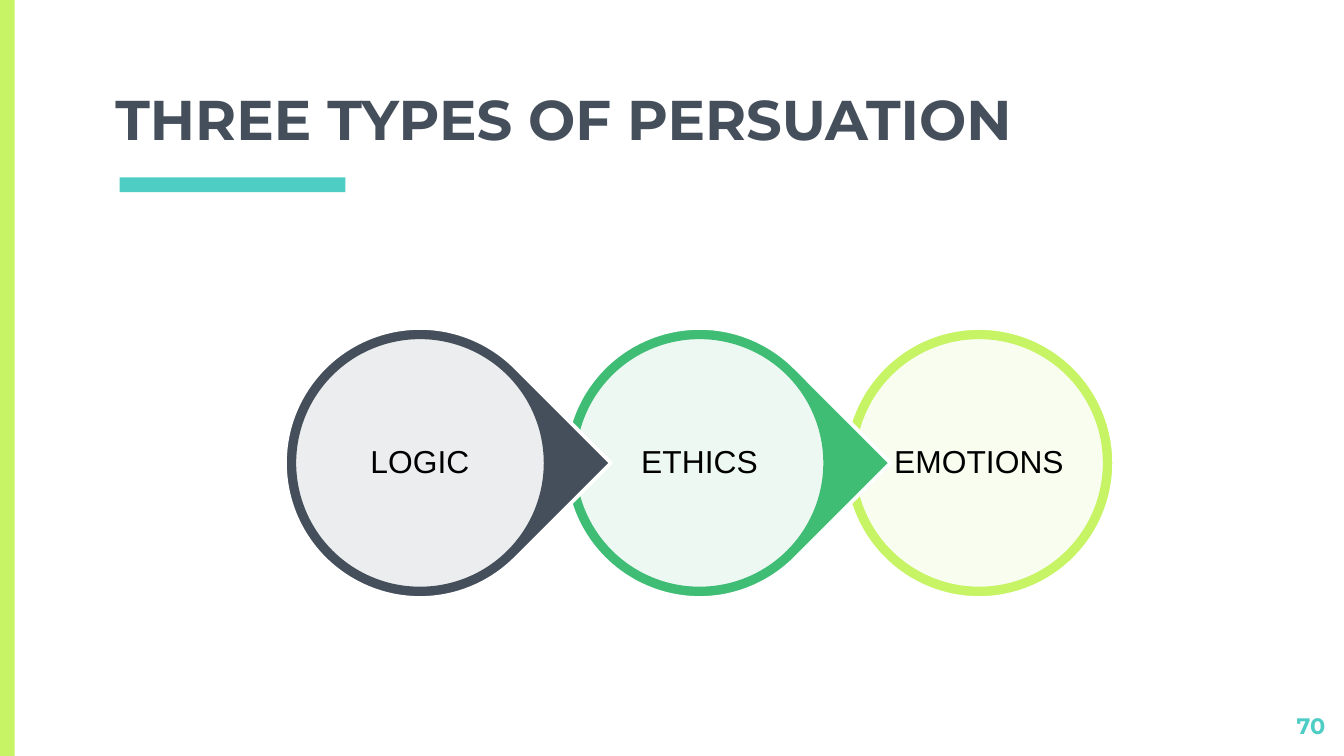
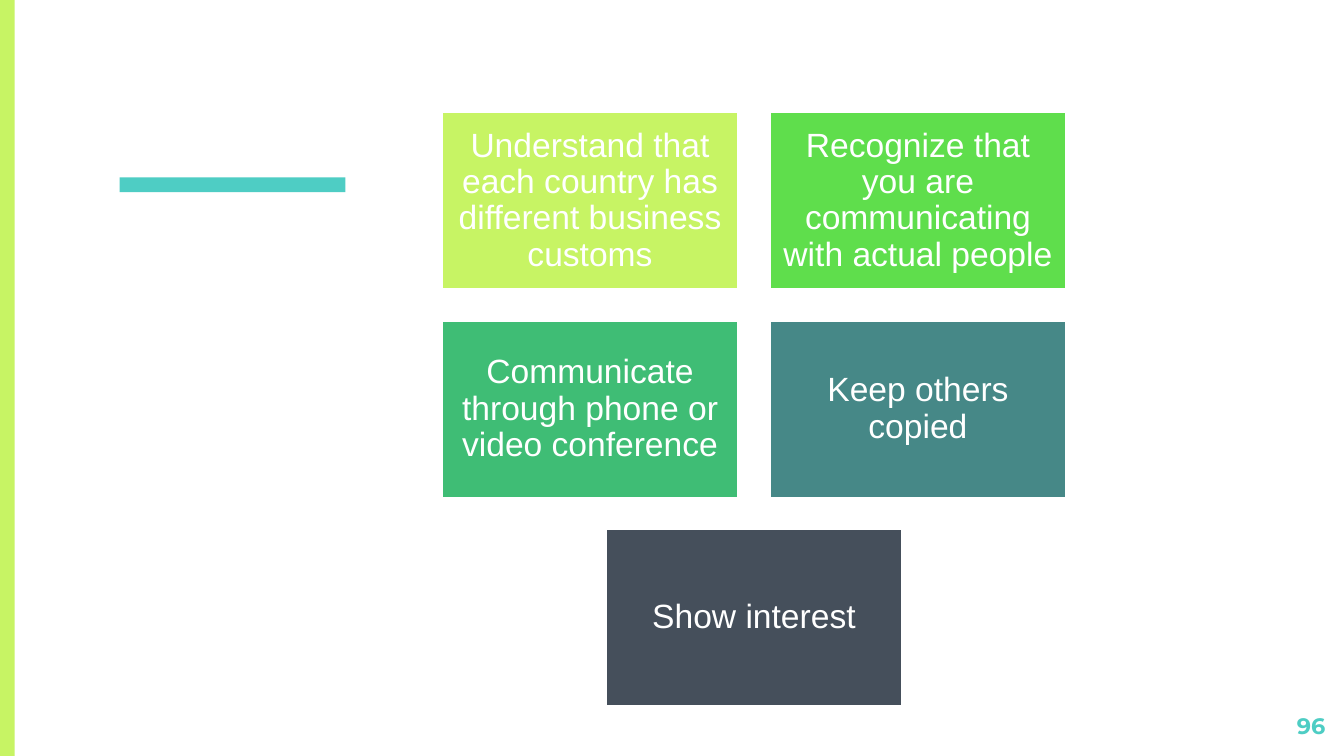
from lxml import etree
from pptx import Presentation
from pptx.dml.color import RGBColor
from pptx.enum.shapes import MSO_SHAPE
from pptx.enum.text import MSO_ANCHOR, PP_ALIGN
from pptx.oxml.ns import qn
from pptx.util import Inches, Pt

COLORS = {
    "lime": "C7F464", "bright": "5FDE4C", "green": "3FBD75", "teal": "468887",
    "slate": "454F5B", "aqua": "4ECDC4", "white": "FFFFFF", "black": "000000",
}
HEAD_FONT, BODY_FONT = "Montserrat", "Arial"
WIDTH = 10
HEIGHT = WIDTH * 9 / 16

TITLE = "THREE TYPES OF PERSUATION"
TYPES = [("LOGIC", "slate"), ("ETHICS", "green"), ("EMOTIONS", "lime")]
TIPS = [
    ("Understand that each country has different business customs", "lime"),
    ("Recognize that you are communicating with actual people", "bright"),
    ("Communicate through phone or video conference", "green"),
    ("Keep others copied", "teal"),
    ("Show interest", "slate"),
]

RING, RING_STEP, RING_LEFT, RING_TOP = 2.01, 2.08, 2.12, 2.44
DISC_INSET = 0.07
TIP_W, TIP_H, TIP_GAP, TIP_LEFT, TIP_TOP, TIP_COLS = 2.22, 1.33, 0.22, 3.28, 0.83, 2


def rgb(name):
    return RGBColor.from_string(COLORS[name])


def write(sp, text, size, color, font=BODY_FONT, bold=False, align=PP_ALIGN.LEFT,
          anchor=MSO_ANCHOR.TOP, inset=0.1, spacing=None):
    tf = sp.text_frame
    tf.word_wrap = True
    tf.vertical_anchor = anchor
    tf.margin_left = tf.margin_right = tf.margin_top = tf.margin_bottom = Inches(inset)
    p = tf.paragraphs[0]
    p.alignment = align
    p.line_spacing = spacing
    r = p.add_run()
    r.text = text
    r.font.name, r.font.size, r.font.bold = font, Pt(size), bold
    r.font.color.rgb = rgb(color)


def add_text(s, box, text, size, color, **fmt):
    write(s.shapes.add_textbox(*map(Inches, box)), text, size, color, **fmt)


def add_shape(s, kind, box, fill, line=None, opacity=None):
    sp = s.shapes.add_shape(kind, *map(Inches, box))
    sp.shadow.inherit = False
    sp.fill.solid()
    sp.fill.fore_color.rgb = rgb(fill)
    if opacity is not None:
        clr = sp.element.spPr.find(qn("a:solidFill"))[0]
        etree.SubElement(clr, qn("a:alpha")).set("val", str(opacity * 1000))
    if line:
        sp.line.color.rgb = rgb(line)
        sp.line.width = Pt(2)
    else:
        sp.line.fill.background()
    return sp


def add_slide(prs, number):
    """Add a slide with the side band, accent bar and page number."""
    s = prs.slides.add_slide(prs.slide_layouts[6])
    add_shape(s, MSO_SHAPE.RECTANGLE, (0, 0, 0.11, HEIGHT), "lime")
    add_shape(s, MSO_SHAPE.RECTANGLE, (0.89, 1.32, 1.68, 0.11), "aqua")
    add_text(s, (9.36, 5.2, 0.6, 0.34), str(number), 12, "aqua",
             font=HEAD_FONT, bold=True, align=PP_ALIGN.RIGHT)
    return s


def build_types(prs):
    s = add_slide(prs, 70)
    add_text(s, (0.76, 0.69, 8.49, 0.54), TITLE, 30, "slate",
             font=HEAD_FONT, bold=True, anchor=MSO_ANCHOR.BOTTOM)
    last = len(TYPES) - 1
    # Right to left, so that each point overlaps the next ring
    for i, (label, color) in reversed(list(enumerate(TYPES))):
        left = RING_LEFT + i * RING_STEP
        kind = MSO_SHAPE.OVAL if i == last else MSO_SHAPE.TEAR
        ring = add_shape(s, kind, (left, RING_TOP, RING, RING), color, "white")
        if i < last:
            ring.rotation = 45
        size = RING - 2 * DISC_INSET
        disc = add_shape(s, MSO_SHAPE.OVAL,
                         (left + DISC_INSET, RING_TOP + DISC_INSET, size, size),
                         "white", color, opacity=90)
        write(disc, label, 17, "black", align=PP_ALIGN.CENTER,
              anchor=MSO_ANCHOR.MIDDLE, inset=0.02, spacing=0.9)


def build_tips(prs):
    s = add_slide(prs, 96)
    for i, (tip, color) in enumerate(TIPS):
        row, col = divmod(i, TIP_COLS)
        in_row = min(TIP_COLS, len(TIPS) - row * TIP_COLS)
        col += (TIP_COLS - in_row) / 2  # centre a short last row
        box = (TIP_LEFT + col * (TIP_W + TIP_GAP),
               TIP_TOP + row * (TIP_H + TIP_GAP), TIP_W, TIP_H)
        card = add_shape(s, MSO_SHAPE.RECTANGLE, box, color, "white")
        write(card, tip, 18, "white", align=PP_ALIGN.CENTER,
              anchor=MSO_ANCHOR.MIDDLE, inset=0.07, spacing=0.9)


def main():
    prs = Presentation()
    prs.slide_width, prs.slide_height = Inches(WIDTH), Inches(HEIGHT)
    build_types(prs)
    build_tips(prs)
    prs.save("out.pptx")


if __name__ == "__main__":
    main()
